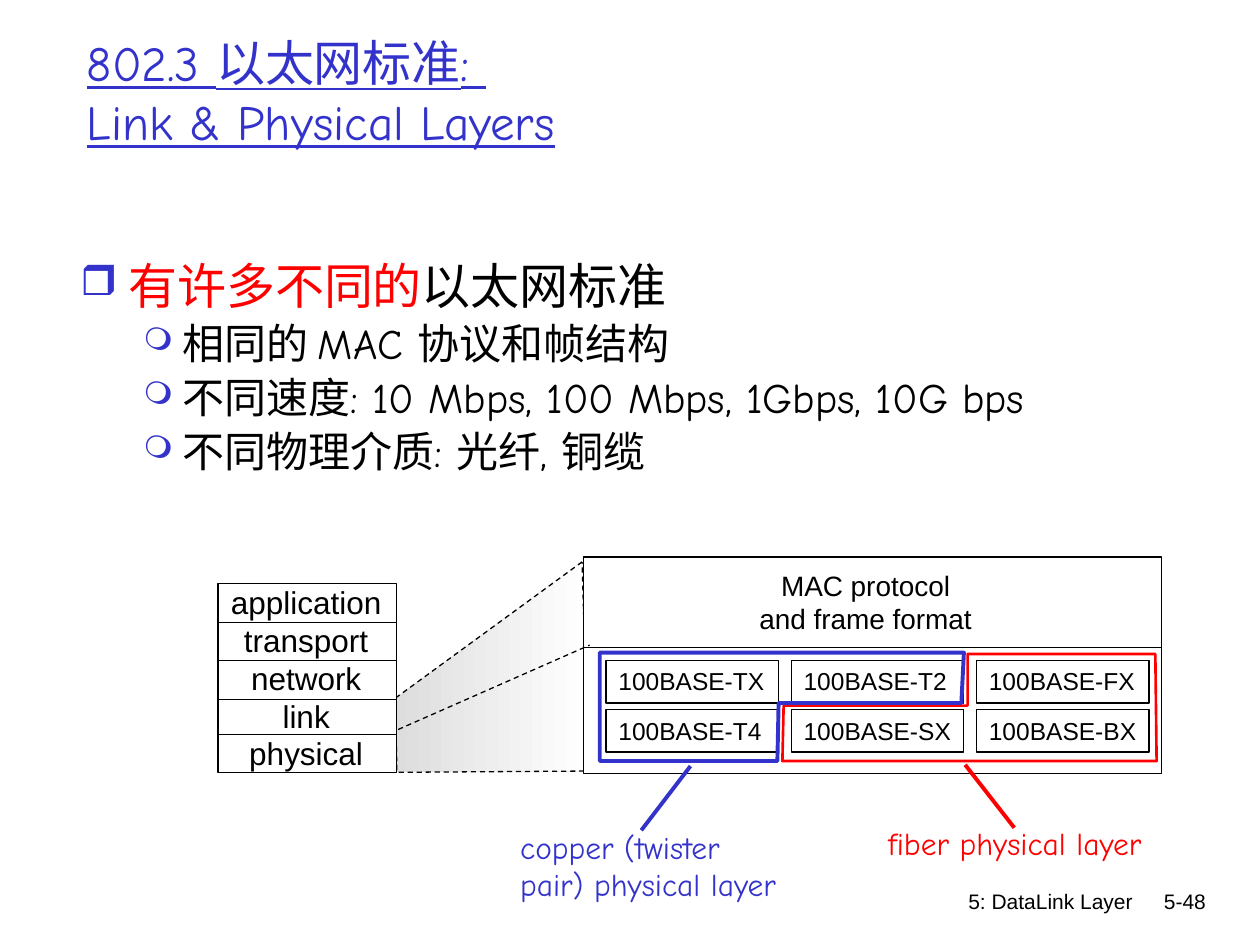
from lxml import etree
from pptx import Presentation
from pptx import util as u
from pptx.dml.color import RGBColor
from pptx.enum import dml, shapes, text
from pptx.oxml import ns
from pptx.util import Inches

COLORS = {"ink": "000000", "paper": "FFFFFF", "blue": "3333CC", "red": "FF0000", "shade": "DDDDDD"}
HAND = "Comic Neue"
SANS = "Arial"


def rgb(name):
    """Return the palette colour with this name."""
    return RGBColor.from_string(COLORS[name])


def write(frame, lines, size=14, font=SANS, color="ink", align="LEFT", anchor="TOP",
          wrap=False, underline=None):
    """Fill a frame with lines: strings or lists of (string, colour) runs; a newline breaks a run."""
    frame.word_wrap = wrap
    frame.auto_size = text.MSO_AUTO_SIZE.NONE
    frame.vertical_anchor = getattr(text.MSO_ANCHOR, anchor)
    for number, line in enumerate(lines):
        paragraph = frame.paragraphs[0] if number == 0 else frame.add_paragraph()
        paragraph.alignment = getattr(text.PP_ALIGN, align)
        for words, run_color in [(line, color)] if isinstance(line, str) else line:
            for part_number, part in enumerate(words.split("\n")):
                if part_number:
                    paragraph.add_line_break()
                run = paragraph.add_run()
                run.text = part
                run.font.size = u.Pt(size)
                run.font.name = font
                run.font.underline = underline
                run.font.color.rgb = rgb(run_color)
    return frame.paragraphs


def label(slide, left, top, width, height, lines, **style):
    """Place a text box with the given format."""
    box = slide.shapes.add_textbox(Inches(left), Inches(top), Inches(width), Inches(height))
    return write(box.text_frame, lines, **style)


def outline(shape, color="ink", weight=0.75, dashed=False):
    """Set the line of a shape or connector."""
    shape.line.color.rgb = rgb(color)
    shape.line.width = u.Pt(weight)
    if dashed:
        shape.line.dash_style = dml.MSO_LINE.DASH


def rule(slide, x1, y1, x2, y2, **style):
    """Draw a straight line without a shadow."""
    connector = slide.shapes.add_connector(
        shapes.MSO_CONNECTOR.STRAIGHT, Inches(x1), Inches(y1), Inches(x2), Inches(y2))
    outline(connector, **style)
    etree.SubElement(connector._element.spPr, ns.qn("a:effectLst"))


def box(slide, left, top, width, height, fill=None):
    """Draw a thin black rectangle, filled or clear."""
    shape = slide.shapes.add_shape(
        shapes.MSO_SHAPE.RECTANGLE, Inches(left), Inches(top), Inches(width), Inches(height))
    shape.shadow.inherit = False
    if fill:
        shape.fill.solid()
        shape.fill.fore_color.rgb = rgb(fill)
    else:
        shape.fill.background()
    outline(shape)
    return shape


def polygon(slide, left, top, points, **style):
    """Draw a closed clear outline from points relative to left and top."""
    corners = [(Inches(left + x), Inches(top + y)) for x, y in points]
    builder = slide.shapes.build_freeform(*corners[0])
    builder.add_line_segments(corners[1:], close=True)
    shape = builder.convert_to_shape()
    shape.shadow.inherit = False
    shape.fill.background()
    outline(shape, **style)
    return shape


def heading(slide, left, top, width, height):
    """Place the underlined title."""
    title = slide.shapes.title
    title.left, title.top = Inches(left), Inches(top)
    title.width, title.height = Inches(width), Inches(height)
    write(title.text_frame, ["802.3 以太网标准: \nLink & Physical Layers"], size=28, font=HAND,
          color="blue", anchor="MIDDLE", wrap=True, underline=True)


def bullet(paragraph, mark, scale, margin, hanging):
    """Give a paragraph a coloured bullet and a hanging indent."""
    properties = paragraph._p.get_or_add_pPr()
    properties.set("marL", str(Inches(margin)))
    properties.set("indent", str(-Inches(hanging)))
    bullet_color = etree.SubElement(properties, ns.qn("a:buClr"))
    etree.SubElement(bullet_color, ns.qn("a:srgbClr"), val=COLORS["blue"])
    etree.SubElement(properties, ns.qn("a:buSzPct"), val=str(scale * 1000))
    etree.SubElement(properties, ns.qn("a:buChar"), char=mark)


def standards_list(slide, left, top, width, height):
    """Place the bulleted list about the Ethernet standards."""
    points = label(slide, left, top, width, height, [
        [("有许多不同的", "red"), ("以太网标准", "ink")],
        "相同的 MAC 协议和帧结构",
        "不同速度: 10 Mbps, 100 Mbps, 1Gbps, 10G bps",
        "不同物理介质: 光纤, 铜缆",
    ], size=24, font=HAND, wrap=True)
    for run in points[0].runs:
        run.font.size = u.Pt(28)
    for number, point in enumerate(points):
        point.line_spacing = 0.9
        point.space_before = u.Pt(0.2 * point.runs[0].font.size.pt)
        if number == 0:
            bullet(point, "❒", 85, 0.38, 0.38)
        else:
            point.level = 1
            bullet(point, "❍", 75, 0.81, 0.31)


def protocol_stack(slide, left, top, width, height):
    """Draw the five-layer stack."""
    box(slide, left, top, width, height, fill="paper")
    label(slide, left, top - 0.05, width - 0.02, height + 0.1,
          ["application", "transport", "network", "link", "physical"], size=18, align="CENTER")
    for offset in (0.31, 0.61, 0.92, 1.2):
        rule(slide, left, top + offset, left + width, top + offset)


def zoom_wedge(slide, left, top):
    """Draw the shaded wedge from the link and physical layers to the detail panel."""
    wedge = polygon(slide, left, top, [(1.48, 0), (0, 1.08), (0.01, 1.67), (1.53, 1.66)],
                    dashed=True)
    wedge.fill.gradient()
    wedge.fill.gradient_angle = 0
    for stop, position, color in zip(wedge.fill.gradient_stops, (0, 1), ("shade", "paper")):
        stop.position = position
        stop.color.rgb = rgb(color)


def detail_panel(slide, left, top, width, height):
    """Draw the MAC panel with its grid of physical layers."""
    box(slide, left, top, width, height, fill="paper")
    rule(slide, left, top + 0.72, left + width, top + 0.72)
    label(slide, left + 1.29, top + 0.04, 1.9, 0.64, ["MAC protocol", "and frame format"],
          size=16, align="CENTER")
    media = [["TX", "T2", "FX"], ["T4", "SX", "BX"]]
    for row, suffixes in enumerate(media):
        for column, suffix in enumerate(suffixes):
            cell = box(slide, left + 0.18 + 1.47 * column, top + 0.82 + 0.39 * row, 1.37, 0.34)
            write(cell.text_frame, ["100BASE-" + suffix])


def fiber_region(slide, left, top):
    """Outline and name the fiber physical layers."""
    polygon(slide, left, top,
            [(1.47, 0), (1.47, 0.41), (0.01, 0.41), (0, 0.85), (2.97, 0.85), (2.96, 0)],
            color="red", weight=1.5)
    rule(slide, left + 1.45, top + 0.88, left + 1.84, top + 1.38, color="red", weight=2.25)
    label(slide, left + 0.74, top + 1.3, 2.46, 0.4, ["fiber physical layer"],
          size=18, font=HAND, color="red")


def copper_region(slide, left, top):
    """Outline and name the copper physical layers."""
    polygon(slide, left, top,
            [(2.89, 0), (2.87, 0.4), (1.42, 0.4), (1.41, 0.86), (0, 0.86), (0, 0)],
            color="blue", weight=2.25)
    rule(slide, left + 0.72, top + 0.9, left + 0.33, top + 1.41, color="blue", weight=2.25)
    label(slide, left - 0.73, top + 1.34, 2.4, 0.7, ["copper (twister", "pair) physical layer"],
          size=18, font=HAND, color="blue")


def footer(slide, left, top):
    """Place the chapter name and slide number."""
    label(slide, left, top, 3.17, 0.5, ["5: DataLink Layer"], size=12, align="RIGHT", wrap=True)
    label(slide, left + 3.01, top, 0.74, 0.5, ["5-48"], size=12, align="RIGHT", wrap=True)


def main():
    """Build and save the slide."""
    deck = Presentation()
    deck.slide_width, deck.slide_height = Inches(10), Inches(7.5)
    slide = deck.slides.add_slide(deck.slide_layouts[5])
    footer(slide, 5.92, 7)
    heading(slide, 0.59, 0.1, 9.11, 1.25)
    standards_list(slide, 0.54, 2.03, 9.02, 1.99)
    zoom_wedge(slide, 3.14, 4.46)
    protocol_stack(slide, 1.73, 4.63, 1.42, 1.5)
    detail_panel(slide, 4.63, 4.42, 4.59, 1.72)
    rule(slide, 3.16, 5.79, 4.68, 5.12, dashed=True)
    fiber_region(slide, 6.21, 5.19)
    copper_region(slide, 4.76, 5.18)
    deck.save("out.pptx")


if __name__ == "__main__":
    main()
